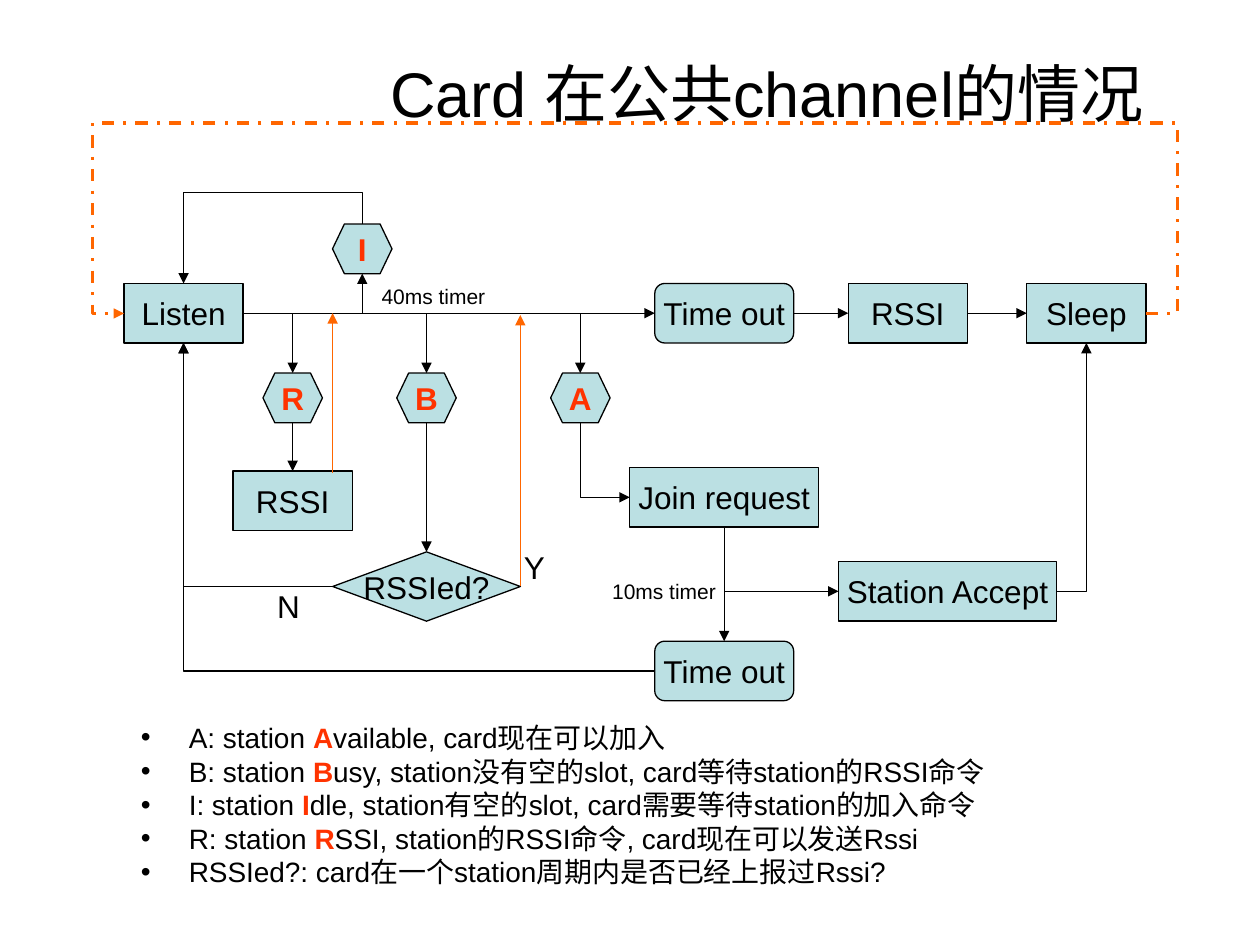
"""Build a slide with the flow of a card on the common channel."""
from dataclasses import dataclass
from typing import Any

from pptx import Presentation
from pptx.dml.color import RGBColor
from pptx.enum.dml import MSO_LINE
from pptx.enum.shapes import MSO_CONNECTOR, MSO_SHAPE
from pptx.enum.text import MSO_ANCHOR, MSO_AUTO_SIZE, PP_ALIGN
from pptx.oxml import parse_xml
from pptx.oxml.ns import nsdecls, qn
from pptx.oxml.xmlchemy import OxmlElement
from pptx.util import Inches, Pt

BOX = MSO_SHAPE.FLOWCHART_PROCESS
ROUND = MSO_SHAPE.FLOWCHART_ALTERNATE_PROCESS
HEXAGON = MSO_SHAPE.FLOWCHART_PREPARATION
DIAMOND = MSO_SHAPE.FLOWCHART_DECISION
STRAIGHT, ELBOW = MSO_CONNECTOR.STRAIGHT, MSO_CONNECTOR.ELBOW
DASH_DOT = MSO_LINE.DASH_DOT
CENTER, LEFT = PP_ALIGN.CENTER, PP_ALIGN.LEFT
MIDDLE, FIT_SHAPE = MSO_ANCHOR.MIDDLE, MSO_AUTO_SIZE.SHAPE_TO_FIT_TEXT
TOP_SIDE, LEFT_SIDE, BOTTOM_SIDE, RIGHT_SIDE = range(4)

COLORS = {"ink": "000000", "node": "BBE0E3", "frame": "FF3300", "return": "FF6600"}
SLIDE_WIDTH, SLIDE_HEIGHT = Inches(10), Inches(7.5)
COLUMN, ROW = SLIDE_WIDTH / 100, SLIDE_HEIGHT / 75
NODE_SIZE = {BOX: (9.45, 4.72), ROUND: (11.02, 4.72), HEXAGON: (4.72, 3.94), DIAMOND: (14.9, 5.5)}
MAIN_ROW, FRAME_ROW = 24.86, 31.58
LOOP_HEIGHT = 0.02

Place = tuple[Any, float]


@dataclass
class Node:
    """A step, centred on a column and a row."""
    text: str
    kind: Any
    column: float
    row: float
    width: float = 0
    color: str = "ink"

    @property
    def size(self) -> tuple[float, float]:
        width, height = NODE_SIZE[self.kind]
        return self.width or width, height

    def side(self, site: int) -> tuple[float, float]:
        width, height = self.size
        across, down = ((0, -1), (-1, 0), (0, 1), (1, 0))[site]
        return self.column + across * width / 2, self.row + down * height / 2


@dataclass
class Link:
    """An arrow between two places, each a node side or a grid point."""
    start: Place
    end: Place
    bends: int = 0
    vertical_first: bool = False
    adjustments: tuple[int, ...] = ()
    color: str = "ink"
    weight: float = 0.75
    dash: Any = None


@dataclass
class Label:
    """A short free text."""
    text: str
    column: float
    row: float
    width: float
    height: float
    size: int


NODES = {
    "listen": Node("Listen", BOX, 14.57, MAIN_ROW),
    "expired": Node("Time out", ROUND, 57.48, MAIN_ROW),
    "report": Node("RSSI", BOX, 72.05, MAIN_ROW),
    "sleep": Node("Sleep", BOX, 86.22, MAIN_ROW),
    "idle": Node("I", HEXAGON, 28.75, 19.75, color="frame"),
    "rssi": Node("R", HEXAGON, 23.23, FRAME_ROW, color="frame"),
    "busy": Node("B", HEXAGON, 33.85, FRAME_ROW, color="frame"),
    "available": Node("A", HEXAGON, 46.06, FRAME_ROW, color="frame"),
    "answer": Node("RSSI", BOX, 23.23, 39.75),
    "reported": Node("RSSIed?", DIAMOND, 33.85, 46.55),
    "join": Node("Join request", BOX, 57.48, 39.47, 15),
    "accept": Node("Station Accept", BOX, 75.2, 46.93, 17.32),
    "refused": Node("Time out", ROUND, 57.48, 53.25),
}

LISTEN_OUT, LISTEN_BACK = ("listen", RIGHT_SIDE), ("listen", BOTTOM_SIDE)
JOIN_OUT = ("join", BOTTOM_SIDE)
LINKS = [
    Link(LISTEN_OUT, ("expired", LEFT_SIDE)),
    Link(("expired", RIGHT_SIDE), ("report", LEFT_SIDE)),
    Link(("report", RIGHT_SIDE), ("sleep", LEFT_SIDE)),
    *(Link(LISTEN_OUT, (frame, TOP_SIDE), 1) for frame in ("rssi", "busy", "available")),
    Link(LISTEN_OUT, ("idle", BOTTOM_SIDE), 1),
    Link(("idle", TOP_SIDE), ("listen", TOP_SIDE), 2, True, (-52900,)),
    Link(("rssi", BOTTOM_SIDE), ("answer", TOP_SIDE)),
    Link(("busy", BOTTOM_SIDE), ("reported", TOP_SIDE)),
    Link(("available", BOTTOM_SIDE), ("join", LEFT_SIDE), 1, True),
    Link(("reported", LEFT_SIDE), LISTEN_BACK, 1),
    Link(JOIN_OUT, ("refused", TOP_SIDE)),
    Link(JOIN_OUT, ("accept", LEFT_SIDE), 1, True),
    Link(("refused", LEFT_SIDE), LISTEN_BACK, 1),
    Link(("accept", RIGHT_SIDE), ("sleep", BOTTOM_SIDE), 1),
    Link((26.4, 37.5), (26.4, MAIN_ROW), color="return"),
    Link(("reported", RIGHT_SIDE), (41.3, 25), color="return"),
    Link(("sleep", RIGHT_SIDE), ("listen", LEFT_SIDE), 4, False,
         (-3100, -76700000, 103100), "return", 1.75, DASH_DOT),
]

LABELS = [
    Label("40ms timer", 29.3, 22, 10.8, 3, 12),
    Label("10ms timer", 47.6, 45.4, 10.8, 3, 12),
    Label("N", 21, 46.1, 3.8, 4, 18),
    Label("Y", 40.6, 43, 3.6, 4, 18),
]

LEGEND = [
    ("A: station ", "A", "vailable, card现在可以加入"),
    ("B: station ", "B", "usy, station没有空的slot, card等待station的RSSI命令"),
    ("I: station ", "I", "dle, station有空的slot, card需要等待station的加入命令"),
    ("R: station ", "R", "SSI, station的RSSI命令, card现在可以发送Rssi"),
    ("RSSIed?: card在一个station周期内是否已经上报过Rssi?",),
]


def area(column: float, row: float, width: float, height: float) -> tuple[int, ...]:
    """Turn grid lengths into slide lengths."""
    return int(column * COLUMN), int(row * ROW), int(width * COLUMN), int(height * ROW)


def apply(target: Any, values: dict[str, Any]) -> None:
    """Set each named attribute."""
    for name, value in values.items():
        setattr(target, name, value)


def add_run(paragraph: Any, text: str, size: int, color: str = "ink") -> None:
    """Add text in one style; frame letters are bold."""
    run = paragraph.add_run()
    run.text = text
    apply(run.font, {"size": Pt(size), "name": "Arial", "bold": color == "frame"})
    run.font.color.rgb = RGBColor.from_string(COLORS[color])


def draw_node(slide: Any, node: Node) -> Any:
    """Draw a step with its text."""
    width, height = node.size
    step = slide.shapes.add_shape(
        node.kind, *area(node.column - width / 2, node.row - height / 2, width, height))
    step.shadow.inherit = False
    step.fill.solid()
    step.fill.fore_color.rgb = RGBColor.from_string(COLORS["node"])
    step.line.color.rgb = RGBColor.from_string(COLORS["ink"])
    step.line.width = Pt(0.75)
    apply(step.text_frame, {"word_wrap": False, "vertical_anchor": MIDDLE})
    paragraph = step.text_frame.paragraphs[0]
    paragraph.alignment = CENTER
    add_run(paragraph, node.text, 18, node.color)
    return step


def bend(connector: Any, link: Link) -> None:
    """Give an elbow its number of bends, its first direction and its offsets."""
    properties = connector._element.spPr
    geometry = properties.find(qn("a:prstGeom"))
    geometry.set("prst", f"bentConnector{link.bends + 1}")
    guides = geometry.get_or_add_avLst()
    for number, value in enumerate(link.adjustments, 1):
        guides.append(parse_xml(
            f'<a:gd {nsdecls("a")} name="adj{number}" fmla="val {value}"/>'))
    if link.bends == 4:
        connector.height = int(LOOP_HEIGHT * ROW)
    if link.vertical_first:
        rightward = connector.end_x > connector.begin_x
        left, top, width, height = connector.left, connector.top, connector.width, connector.height
        shift = (width - height) // 2
        apply(connector, {"left": left + shift, "top": top - shift,
                          "width": height, "height": width})
        frame = properties.find(qn("a:xfrm"))
        frame.set("rot", str((270 if rightward else 90) * 60000))
        frame.set("flipH", str(int(rightward)))


def draw_link(slide: Any, link: Link, steps: dict[str, Any]) -> None:
    """Draw an arrow and join it to the steps it touches."""
    joined = [isinstance(place[0], str) for place in (link.start, link.end)]
    points = [NODES[place[0]].side(place[1]) if on_node else place
              for place, on_node in zip((link.start, link.end), joined)]
    connector = slide.shapes.add_connector(
        ELBOW if link.bends else STRAIGHT, *area(*points[0], *points[1]))
    joins = (connector.begin_connect, connector.end_connect)
    for join, place, on_node in zip(joins, (link.start, link.end), joined):
        if on_node:
            join(steps[place[0]], place[1])
    if link.bends:
        bend(connector, link)
    connector.line.color.rgb = RGBColor.from_string(COLORS[link.color])
    apply(connector.line, {"width": Pt(link.weight), "dash_style": link.dash})
    properties = connector._element.spPr
    properties.find(qn("a:ln")).append(parse_xml(f'<a:tailEnd {nsdecls("a")} type="triangle"/>'))
    properties.append(OxmlElement("a:effectLst"))


def draw_label(slide: Any, label: Label) -> None:
    """Draw a free text."""
    note = slide.shapes.add_textbox(*area(label.column, label.row, label.width, label.height))
    apply(note.text_frame, {"word_wrap": False, "auto_size": FIT_SHAPE})
    add_run(note.text_frame.paragraphs[0], label.text, label.size)


def draw_legend(slide: Any) -> None:
    """Draw the bulleted meaning of each frame letter."""
    frame = slide.shapes.add_textbox(*area(10.2, 56.7, 72.8, 14.4)).text_frame
    apply(frame, {"word_wrap": True, "auto_size": FIT_SHAPE})
    for index, parts in enumerate(LEGEND):
        paragraph = frame.add_paragraph() if index else frame.paragraphs[0]
        paragraph.alignment = LEFT
        for part, color in zip(parts, ("ink", "frame", "ink")):
            add_run(paragraph, part, 16, color)
        layout = paragraph._p.get_or_add_pPr()
        layout.set("marL", str(Inches(0.38)))
        layout.set("indent", str(-Inches(0.38)))
        for bullet in ('buFont {} typeface="Arial"', 'buChar {} char="•"'):
            layout.append(parse_xml(f'<a:{bullet.format(nsdecls("a"))}/>'))


def main() -> None:
    """Build and save the slide."""
    deck = Presentation()
    apply(deck, {"slide_width": SLIDE_WIDTH, "slide_height": SLIDE_HEIGHT})
    slide = deck.slides.add_slide(deck.slide_layouts.get_by_name("Title Only"))
    title = slide.shapes.title
    apply(title, dict(zip(("left", "top", "width", "height"), area(26.7, 3, 68.3, 8.7))))
    title.text_frame.vertical_anchor = MIDDLE
    title.text_frame.paragraphs[0].alignment = CENTER
    add_run(title.text_frame.paragraphs[0], "Card 在公共channel的情况", 36)
    steps = {key: draw_node(slide, node) for key, node in NODES.items()}
    for link in LINKS:
        draw_link(slide, link, steps)
    for label in LABELS:
        draw_label(slide, label)
    draw_legend(slide)
    deck.save("out.pptx")


if __name__ == "__main__":
    main()
